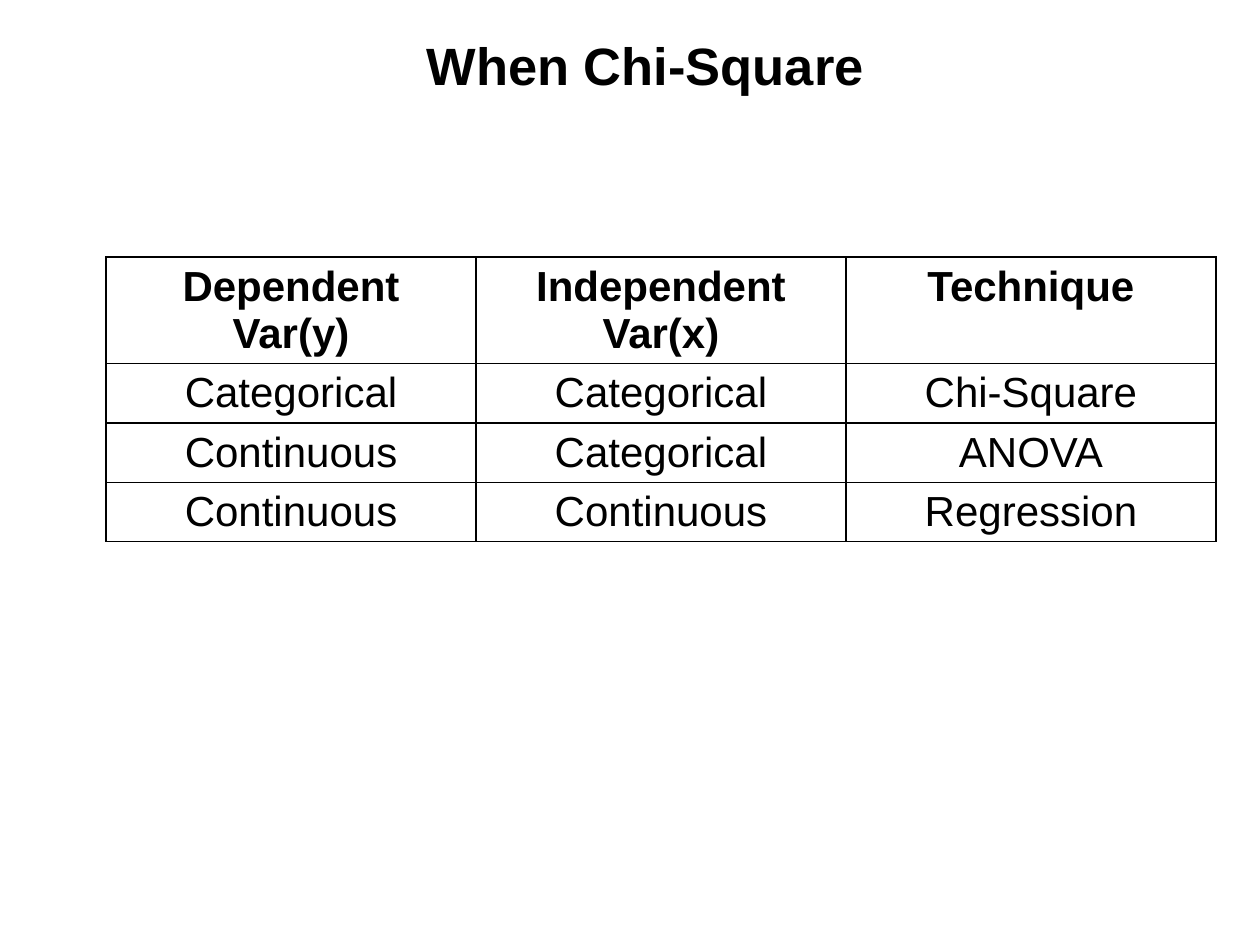
from dataclasses import dataclass

from lxml import etree
from pptx import Presentation
from pptx.dml.color import RGBColor
from pptx.enum.text import MSO_ANCHOR, MSO_AUTO_SIZE, PP_ALIGN
from pptx.oxml.ns import qn
from pptx.util import Emu, Pt

CENTER = PP_ALIGN.CENTER
TOP = MSO_ANCHOR.TOP
NO_AUTOFIT = MSO_AUTO_SIZE.NONE
TITLE_ONLY = 5
PX_PER_INCH = 126
FONT = "Arial"
BLACK = "000000"


@dataclass
class Row:
    height: int
    texts: tuple[str, str, str]
    bold: bool = False


ROWS = [
    Row(69, ("Dependent Var(y)", "Independent Var(x)", "Technique"), bold=True),
    Row(49, ("Categorical", "Categorical", "Chi-Square")),
    Row(49, ("Continuous", "Categorical", "ANOVA")),
    Row(49, ("Continuous", "Continuous", "Regression")),
]


def px(length: int) -> Emu:
    return Emu(round(length * 914400 / PX_PER_INCH))


def color(value: str) -> RGBColor:
    return RGBColor.from_string(value)


def write(frame, text: str, *, size: int, bold: bool = False):
    """Put one centred paragraph in a text frame and return it."""
    para = frame.paragraphs[0]
    para.alignment = CENTER
    span = para.add_run()
    span.text = text
    span.font.name = FONT
    span.font.size = Pt(size)
    span.font.bold = bold
    span.font.color.rgb = color(BLACK)
    return para


def add_borders(cell, line: str, width: int) -> None:
    properties = cell._tc.get_or_add_tcPr()
    for index, side in enumerate(("lnL", "lnR", "lnT", "lnB")):
        border = etree.Element(qn(f"a:{side}"), w=str(Pt(width)))
        fill = etree.SubElement(border, qn("a:solidFill"))
        etree.SubElement(fill, qn("a:srgbClr"), val=line)
        properties.insert(index, border)


def add_title(page, text: str) -> None:
    box = page.shapes.title
    box.left, box.top, box.width, box.height = px(63), px(20), px(1134), px(77)
    frame = box.text_frame
    frame.word_wrap = True
    frame.auto_size = NO_AUTOFIT
    frame.vertical_anchor = TOP
    frame.margin_left = frame.margin_right = px(13)
    frame.margin_top = frame.margin_bottom = px(13)
    para = write(frame, text, size=30, bold=True)
    # Hanging indent
    properties = para._p.get_or_add_pPr()
    properties.set("marL", str(px(63)))
    properties.set("indent", str(-px(32)))


def add_technique_table(page, rows: list[Row]) -> None:
    column_count = len(rows[0].texts)
    holder = page.shapes.add_table(
        len(rows), column_count, px(106), px(257), px(1111), px(258))
    table = holder.table
    table.first_row = table.horz_banding = False
    for column in table.columns:
        column.width = px(1111 // column_count)
    for row_index, row in enumerate(rows):
        table.rows[row_index].height = px(row.height)
        for column_index, text in enumerate(row.texts):
            cell = table.cell(row_index, column_index)
            cell.fill.background()
            add_borders(cell, BLACK, 1)
            write(cell.text_frame, text, size=24, bold=row.bold)
    holder.height = px(258)


def main() -> None:
    deck = Presentation()
    deck.slide_width, deck.slide_height = px(1260), px(945)
    page = deck.slides.add_slide(deck.slide_layouts[TITLE_ONLY])
    add_title(page, "When Chi-Square")
    add_technique_table(page, ROWS)
    deck.save("out.pptx")


if __name__ == "__main__":
    main()
